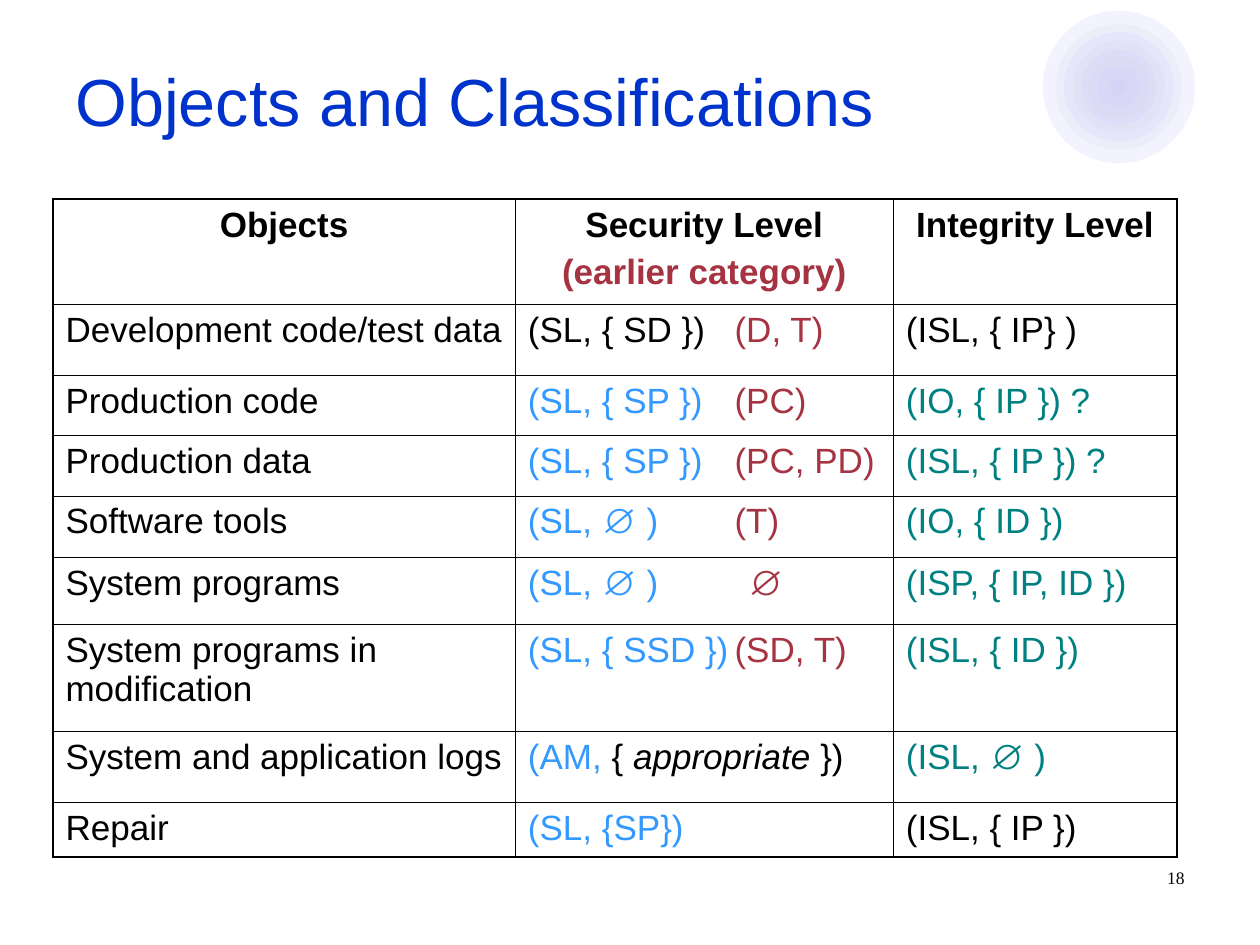
from lxml import etree
from pptx import Presentation
from pptx.dml.color import RGBColor
from pptx.enum.shapes import MSO_SHAPE
from pptx.enum.text import MSO_ANCHOR, PP_ALIGN
from pptx.oxml.ns import qn
from pptx.util import Inches, Pt

OVAL = MSO_SHAPE.OVAL
MIDDLE, TOP = MSO_ANCHOR.MIDDLE, MSO_ANCHOR.TOP
LEFT, CENTER, RIGHT = PP_ALIGN.LEFT, PP_ALIGN.CENTER, PP_ALIGN.RIGHT

THEME = {
    "title": "0033CC", "black": "000000", "red": "A53341", "blue": "3399FF",
    "teal": "008080", "lilac": "CCCCFF", "mist": "D9D8EC",
    "font": "Arial", "number_font": "Times New Roman",
    "title_size": 38, "table_size": 20, "number_size": 10,
    "outer_line": 1.08, "inner_line": 0.45,
}

# Content: a cell is a list of paragraphs, a paragraph a list of (text, colour[, italic])
TITLE = "Objects and Classifications"
PAGE_NUMBER = "18"
HEADER = [
    [[("Objects", "black")]],
    [[("Security Level", "black")], [("(earlier category)", "red")]],
    [[("Integrity Level", "black")]],
]
# object, security runs, integrity level, integrity colour, tab stop of the earlier category
TAB = 1.64
ROWS = [
    ("Development code/test data", [("(SL, { SD })\t", "black"), ("(D, T)", "red")],
     "(ISL, { IP} )", "black", TAB),
    ("Production code", [("(SL, { SP })\t", "blue"), ("(PC)", "red")],
     "(IO, { IP }) ?", "teal", TAB),
    ("Production data", [("(SL, { SP })\t", "blue"), ("(PC, PD)", "red")],
     "(ISL, { IP }) ?", "teal", TAB),
    ("Software tools", [("(SL, ∅ )\t", "blue"), ("(T)", "red")],
     "(IO, { ID })", "teal", TAB),
    ("System programs", [("(SL, ∅ )\t", "blue"), ("∅", "red")],
     "(ISP, { IP, ID })", "teal", 1.75),
    ("System programs in modification", [("(SL, { SSD })\t", "blue"), ("(SD, T)", "red")],
     "(ISL, { ID })", "teal", TAB),
    ("System and application logs",
     [("(AM,", "blue"), (" { ", "black"), ("appropriate", "black", True), (" })", "black")],
     "(ISL, ∅ )", "teal", None),
    ("Repair", [("(SL, {SP})", "blue")], "(ISL, { IP })", "black", None),
]
COL_WIDTHS = [3.67, 3, 2.25]
ROW_HEIGHTS = [0.83, 0.56, 0.48, 0.48, 0.49, 0.53, 0.85, 0.56, 0.43]
TABLE_LEFT, TABLE_TOP = 0.42, 1.58
RING_CENTER = (8.88, 0.69)
RING_SIZES = [1.21, 1, 0.87, 0.73, 0.6, 0.49, 0.33, 0.23, 0.14]
RING_ALPHA = 22


def color(name):
    return RGBColor.from_string(THEME[name])


def write(tf, paragraphs, size, font=THEME["font"], align=LEFT, bold=False, before=0, tab=None):
    """Fill a text frame with paragraphs of coloured runs."""
    tf.word_wrap = True
    for i, runs in enumerate(paragraphs):
        p = tf.paragraphs[0] if i == 0 else tf.add_paragraph()
        p.alignment = align
        p.space_before = Pt(before)
        if tab:
            tabs = etree.SubElement(p._p.get_or_add_pPr(), qn("a:tabLst"))
            etree.SubElement(tabs, qn("a:tab"), pos=str(Inches(tab)), algn="l")
        for text, fill, *italic in runs:
            r = p.add_run()
            r.text = text
            r.font.name, r.font.size = font, Pt(size)
            r.font.bold, r.font.italic = bold, bool(italic)
            r.font.color.rgb = color(fill)


def add_text(s, box, anchor, *args, **kwargs):
    tf = s.shapes.add_textbox(*map(Inches, box)).text_frame
    tf.vertical_anchor = anchor
    write(tf, *args, **kwargs)


def set_borders(cell, outer):
    """Draw all four sides, heavier on the sides named in outer."""
    tcPr = cell._tc.get_or_add_tcPr()
    for side in "LRTB":
        width = THEME["outer_line" if side in outer else "inner_line"]
        ln = etree.SubElement(tcPr, qn("a:ln" + side), w=str(Pt(width)))
        fill = etree.SubElement(ln, qn("a:solidFill"))
        etree.SubElement(fill, qn("a:srgbClr"), val=THEME["black"])


def add_rings(s):
    cx, cy = RING_CENTER
    for i, d in enumerate(RING_SIZES):
        sp = s.shapes.add_shape(OVAL, Inches(cx - d / 2), Inches(cy - d / 2), Inches(d), Inches(d))
        sp.shadow.inherit = False
        sp.line.fill.background()
        sp.fill.solid()
        sp.fill.fore_color.rgb = color("mist" if i % 2 else "lilac")
        clr = sp._element.spPr.find(qn("a:solidFill"))[0]
        etree.SubElement(clr, qn("a:alpha"), val=str(RING_ALPHA * 1000))


def add_classification_table(s):
    grid = [HEADER] + [
        [[[(name, "black")]], [security], [[(integrity, fill)]]]
        for name, security, integrity, fill, _ in ROWS
    ]
    tabs = [None] + [row[-1] for row in ROWS]
    last_row, last_col = len(grid) - 1, len(COL_WIDTHS) - 1
    table = s.shapes.add_table(
        len(grid), len(COL_WIDTHS), Inches(TABLE_LEFT), Inches(TABLE_TOP),
        Inches(sum(COL_WIDTHS)), Inches(sum(ROW_HEIGHTS))).table
    table.first_row = table.horz_banding = False
    for col, width in zip(table.columns, COL_WIDTHS):
        col.width = Inches(width)
    for row, height in zip(table.rows, ROW_HEIGHTS):
        row.height = Inches(height)

    for i, row in enumerate(grid):
        for j, paragraphs in enumerate(row):
            cell = table.cell(i, j)
            edges = {"L": j == 0, "R": j == last_col, "T": i == 0, "B": i == last_row}
            set_borders(cell, [side for side, on in edges.items() if on])
            cell.fill.background()
            write(cell.text_frame, paragraphs, THEME["table_size"], bold=i == 0, before=5,
                  align=LEFT if i else CENTER, tab=tabs[i] if j == 1 else None)


def main():
    prs = Presentation()
    prs.slide_width, prs.slide_height = Inches(10), Inches(7.5)
    s = prs.slides.add_slide(prs.slide_layouts[6])

    # Corner ornament, title, table, page number
    add_rings(s)
    add_text(s, (0.5, 0.17, 9, 1.25), MIDDLE, [[(TITLE, "title")]], THEME["title_size"])
    add_classification_table(s)
    add_text(s, (7.17, 6.83, 2.33, 0.5), TOP, [[(PAGE_NUMBER, "black")]], THEME["number_size"],
             font=THEME["number_font"], align=RIGHT)
    prs.save("out.pptx")


if __name__ == "__main__":
    main()
